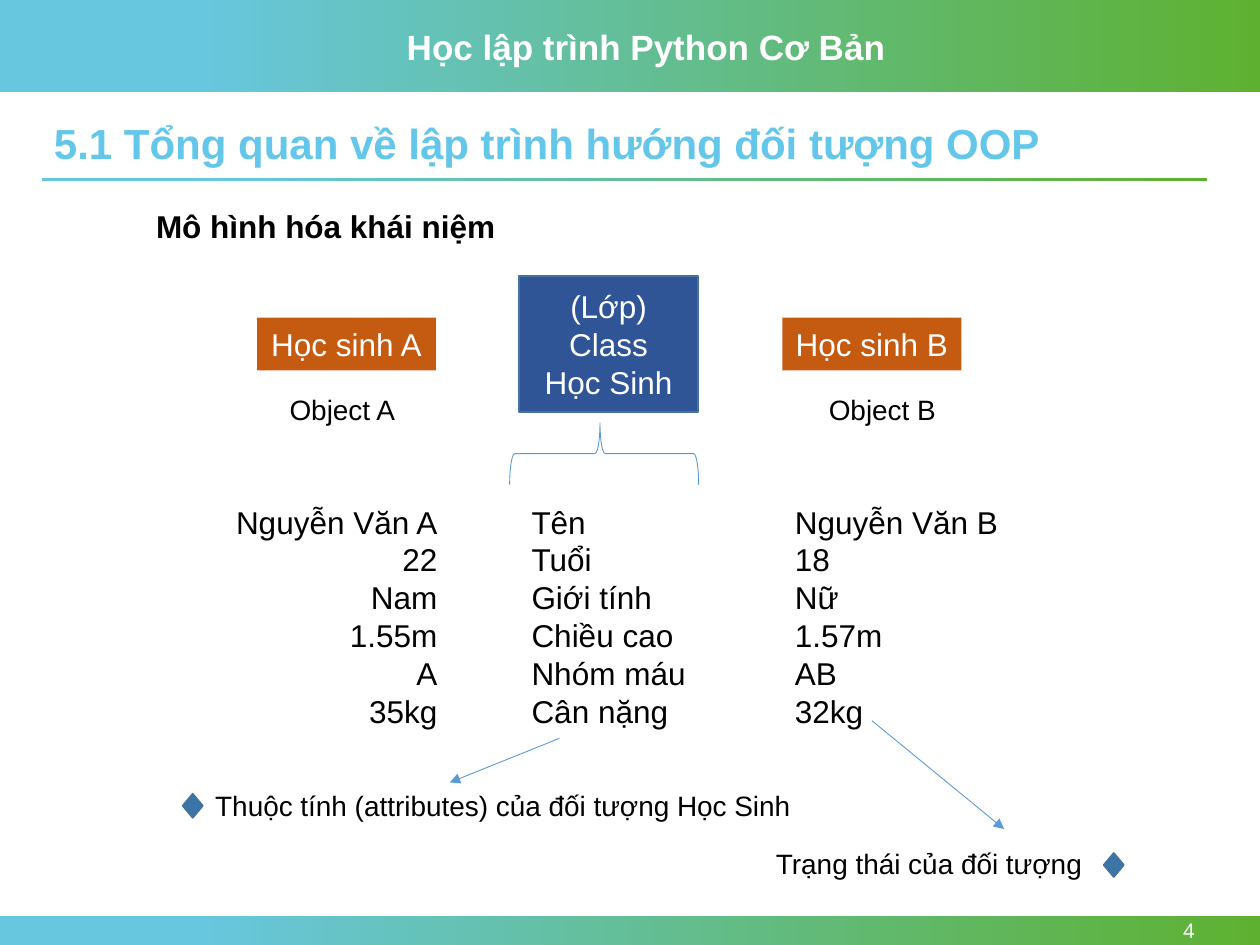
from pptx import Presentation
from pptx.dml.color import RGBColor
from pptx.enum.shapes import MSO_CONNECTOR, MSO_SHAPE
from pptx.enum.text import MSO_ANCHOR, MSO_AUTO_SIZE, PP_ALIGN
from pptx.oxml.ns import qn
from pptx.util import Inches, Pt
from lxml import etree

RECT = MSO_SHAPE.RECTANGLE
BRACE = MSO_SHAPE.LEFT_BRACE
GEM = MSO_SHAPE.FLOWCHART_DECISION
LINE = MSO_CONNECTOR.STRAIGHT
MID = MSO_ANCHOR.MIDDLE
GROW = MSO_AUTO_SIZE.SHAPE_TO_FIT_TEXT
FIXED = MSO_AUTO_SIZE.NONE
LEFT, MID_X, RIGHT = PP_ALIGN.LEFT, PP_ALIGN.CENTER, PP_ALIGN.RIGHT

rgb = RGBColor.from_string
WHITE, BLACK, EDGE, THIN = "FFFFFF", "000000", "43739E", "5B9BD5"


def write(shape, lines, size, color=BLACK, bold=False, align=LEFT):
    frame = shape.text_frame
    frame.word_wrap = True
    frame.text = "\n".join(lines)
    for para in frame.paragraphs:
        para.alignment = align
        font = para.runs[0].font
        style = {"name": "Arial", "size": Pt(size), "bold": bold}
        for key, value in style.items():
            setattr(font, key, value)
        font.color.rgb = rgb(color)
    return frame


def draw(kind, box, fill=None, edge=None, width=1):
    shape = shapes.add_shape(kind, *map(Inches, box))
    shape.shadow.inherit = False
    if fill:
        shape.fill.solid()
        shape.fill.fore_color.rgb = rgb(fill)
    else:
        shape.fill.background()
    if edge:
        shape.line.color.rgb = rgb(edge)
        shape.line.width = Pt(width)
    else:
        shape.line.fill.background()
    return shape


deck = Presentation()
deck.slide_width, deck.slide_height = Inches(10), Inches(7.5)
shapes = deck.slides.add_slide(deck.slide_layouts[6]).shapes

for box in [(0, 0, 10, 0.73), (0, 7.27, 10, 0.23), (0.33, 1.41, 9.25, 0.03)]:
    band = draw(RECT, box)
    band.fill.gradient()
    band.fill.gradient_angle = 0
    for stop, (place, color) in zip(band.fill.gradient_stops, [(0.15, "67C7DF"), (1, "5EB130")]):
        stop.position = place
        stop.color.rgb = rgb(color)

head = ["Học lập trình Python Cơ Bản"]
title = ["5.1 Tổng quan về lập trình hướng đối tượng OOP"]
names = ["Tên", "Tuổi", "Giới tính", "Chiều cao", "Nhóm máu", "Cân nặng"]
first = ["Nguyễn Văn A", "22", "Nam", "1.55m", "A", "35kg"]
other = ["Nguyễn Văn B", "18", "Nữ", "1.57m", "AB", "32kg"]
texts = [
    ((3.13, 0.15, 4, 0.44), head, {"size": 20, "color": WHITE, "bold": True}),
    ((0.33, 0.93, 9.25, 0.46), title, {"size": 24, "color": "64C7E9", "bold": True}),
    ((8.66, 7.27, 0.92, 0.23), ["4"], {"size": 12, "color": WHITE, "align": RIGHT}),
    ((1.14, 1.59, 7.03, 0.4), ["Mô hình hóa khái niệm"], {"size": 18, "bold": True}),
    ((0.83, 3.94, 2.74, 1.92), first, {"size": 18, "align": RIGHT}),
    ((4.12, 3.94, 1.85, 1.92), names, {"size": 18}),
    ((6.21, 3.94, 2.74, 1.92), other, {"size": 18}),
    ((2.2, 3.07, 1.1, 0.37), ["Object A"], {"size": 16}),
    ((6.48, 3.07, 1.1, 0.37), ["Object B"], {"size": 16}),
    ((1.61, 6.21, 5.03, 0.37), ["Thuộc tính (attributes) của đối tượng Học Sinh"], {"size": 16}),
    ((6.06, 6.67, 3.15, 0.37), ["Trạng thái của đối tượng"], {"size": 16}),
]
for box, lines, style in texts:
    frame = write(shapes.add_textbox(*map(Inches, box)), lines, **style)
    frame.auto_size = GROW
    if lines == head:
        frame.word_wrap = False
    elif lines == title:
        frame.paragraphs[0].line_spacing = 0.9
    elif lines == ["4"]:
        frame.auto_size = FIXED
        frame.vertical_anchor = MID

cards = [
    ((2.04, 2.52, 1.42, 0.42), ["Học sinh A"], "C55A11", None),
    ((4.12, 2.19, 1.42, 1.08), ["(Lớp)", "Class", "Học Sinh"], "2F5597", EDGE),
    ((6.21, 2.52, 1.42, 0.42), ["Học sinh B"], "C55A11", None),
]
for box, lines, fill, edge in cards:
    card = draw(RECT, box, fill, edge)
    write(card, lines, 18, WHITE, align=MID_X).vertical_anchor = MID

brace = draw(BRACE, (4.55, 2.85, 0.49, 1.5), edge=THIN, width=0.5)
brace.rotation = 90
brace.adjustments[0], brace.adjustments[1] = 0.083, 0.522

for left, top in [(1.45, 6.3), (8.76, 6.77)]:
    draw(GEM, (left, top, 0.16, 0.19), "3A75A6", EDGE)

for ends in [(4.44, 5.86, 3.57, 6.21), (6.92, 5.72, 7.97, 6.58)]:
    arrow = shapes.add_connector(LINE, *map(Inches, ends))
    arrow.line.color.rgb = rgb(THIN)
    arrow.line.width = Pt(0.5)
    props = arrow.element.spPr
    etree.SubElement(props.find(qn("a:ln")), qn("a:tailEnd"), type="triangle")
    etree.SubElement(props, qn("a:effectLst"))

deck.save("out.pptx")
